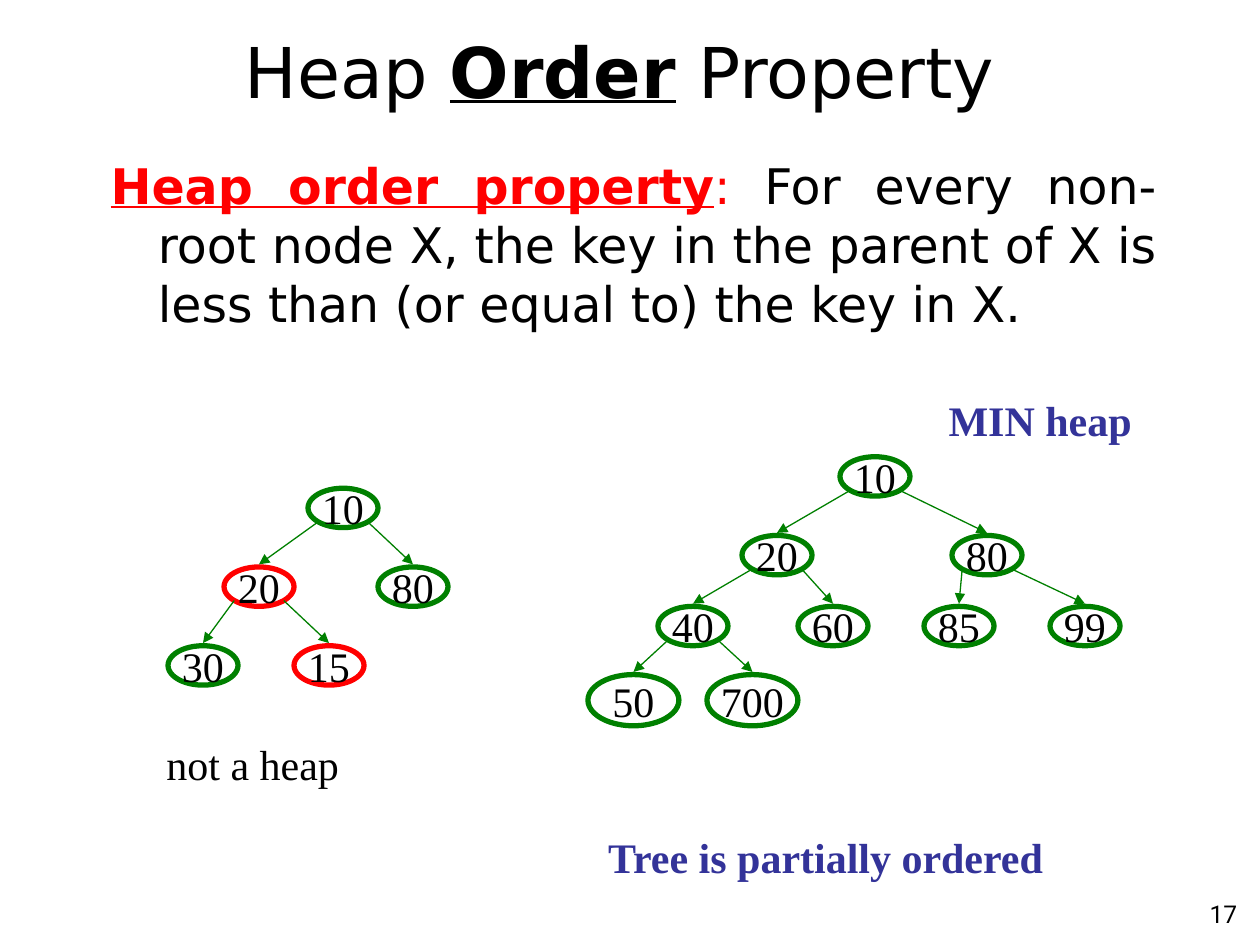
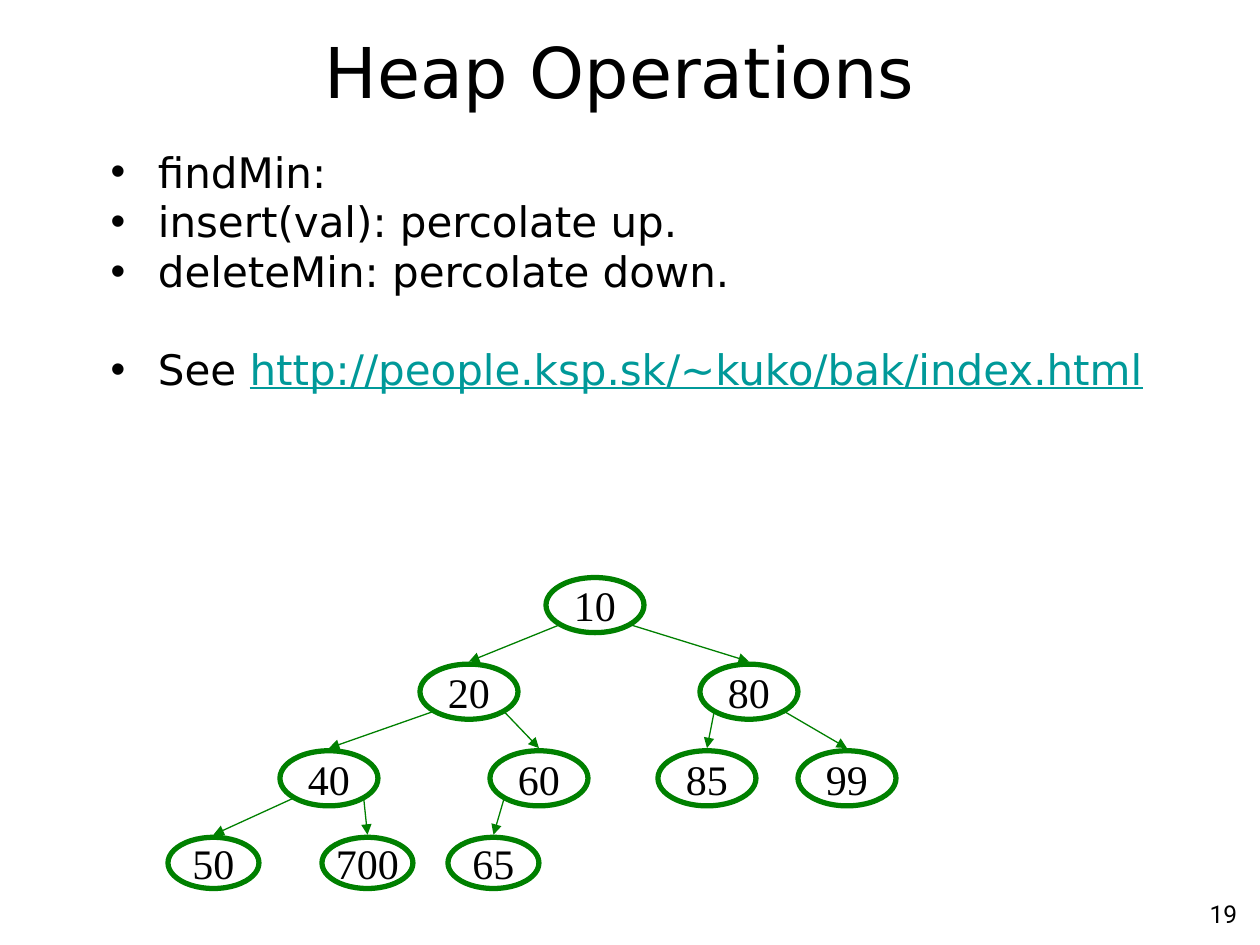
from pptx import Presentation
from pptx.dml.color import RGBColor
from pptx.enum.shapes import MSO_CONNECTOR, MSO_SHAPE
from pptx.enum.text import MSO_ANCHOR, MSO_AUTO_SIZE, PP_ALIGN
from pptx.oxml.ns import qn
from pptx.util import Pt
from lxml.etree import SubElement

BLACK = RGBColor(0, 0, 0)
RED = RGBColor(255, 0, 0)
GREEN = RGBColor(0, 128, 0)
NAVY = RGBColor(51, 51, 153)
TEAL = RGBColor(0, 153, 153)
SANS, SERIF, PAGE = "DejaVu Sans", "Times New Roman", "Roboto"
INDENT = Pt(27)
CORNER = 0.146

WRONG = [
    (0, 40, 22.5, [(10, 80, None)]),
    (45, 40, 22.5, [(20, 32, 10), (80, 120, 10)]),
    (90, 40, 22.5, [(30, 0, 20), (15, 72, 20)]),
]
RIGHT = [
    (0, 40, 22.5, [(10, 144, None)]),
    (45, 40, 22.5, [(20, 88, 10), (80, 208, 10)]),
    (85.5, 40, 22.5, [(40, 40, 20), (60, 120, 20), (85, 192, 80), (99, 264, 80)]),
    (124.5, 52, 29.25, [(50, 0, 40), (700, 68, 40)]),
]
LARGE = [
    (0, 56, 31.5, [(10, 216, None)]),
    (49.5, 56, 31.5, [(20, 144, 10), (80, 304, 10)]),
    (99, 56, 31.5, [(40, 64, 20), (60, 184, 20), (85, 280, 80), (99, 360, 80)]),
    (148.5, 52, 29.25, [(50, 0, 40), (700, 88, 40), (65, 160, 60)]),
]


def style(font, name, size, color=BLACK, bold=False):
    font.name, font.size, font.bold = name, Pt(size), bold
    font.color.rgb = color


def place(shape, left, top, width, height):
    shape.left, shape.top = Pt(left), Pt(top)
    shape.width, shape.height = Pt(width), Pt(height)


def write(para, runs, name, size):
    for text, color, bold, line in runs:
        run = para.add_run()
        run.text = text
        style(run.font, name, size, color, bold)
        run.font.underline = line


def label(slide, box, text, name=SERIF, size=24, color=BLACK, bold=False,
          align=PP_ALIGN.LEFT, wrap=False):
    shape = slide.shapes.add_textbox(*map(Pt, box))
    frame = shape.text_frame
    frame.word_wrap = wrap
    para = frame.paragraphs[0]
    para.text, para.alignment = text, align
    style(para.font, name, size, color, bold)


def start(deck, title, page):
    slide = deck.slides.add_slide(deck.slide_layouts[1])
    shape = slide.shapes.title
    place(shape, 48, 13.5, 612, 54)
    frame = shape.text_frame
    frame.auto_size = MSO_AUTO_SIZE.NONE
    frame.vertical_anchor = MSO_ANCHOR.MIDDLE
    para = frame.paragraphs[0]
    para.alignment = PP_ALIGN.CENTER
    write(para, title, SANS, 40)
    label(slide, (564, 510, 150, 26.5), page, PAGE, 14,
          align=PP_ALIGN.RIGHT, wrap=True)
    return slide


def body(slide, height, items, size, bullet=None, gaps=(0,), pitch=1.0):
    shape = slide.placeholders[1]
    place(shape, 56, 85.5, 612, height)
    frame = shape.text_frame
    frame.auto_size = MSO_AUTO_SIZE.NONE
    frame.vertical_anchor = MSO_ANCHOR.TOP
    for num, (runs, gap) in enumerate(zip(items, gaps)):
        para = frame.add_paragraph() if num else frame.paragraphs[0]
        props = para._p.get_or_add_pPr()
        props.set("marL", str(INDENT))
        props.set("indent", str(-INDENT))
        if bullet:
            SubElement(props, qn("a:buChar")).set("char", bullet)
        else:
            SubElement(props, qn("a:buNone"))
        para.alignment = PP_ALIGN.JUSTIFY
        para.line_spacing, para.space_before = pitch, Pt(gap)
        write(para, runs, SANS, size)


def node(shapes, box, key, color):
    oval = shapes.add_shape(MSO_SHAPE.OVAL, *map(Pt, box))
    oval.shadow.inherit = False
    oval.fill.background()
    oval.line.color.rgb, oval.line.width = color, Pt(3)
    frame = oval.text_frame
    frame.word_wrap = False
    frame.vertical_anchor = MSO_ANCHOR.MIDDLE
    para = frame.paragraphs[0]
    para.text, para.alignment = str(key), PP_ALIGN.CENTER
    style(para.font, SERIF, 24)
    return oval


def arrow(shapes, top, low):
    mid = low.left + low.width // 2
    side = CORNER if mid < top.left + top.width // 2 else 1 - CORNER
    line = shapes.add_connector(
        MSO_CONNECTOR.STRAIGHT,
        int(top.left + side * top.width),
        int(top.top + (1 - CORNER) * top.height),
        mid, low.top - Pt(1.5))
    line.line.color.rgb, line.line.width = GREEN, Pt(0.75)
    SubElement(line.line._get_or_add_ln(), qn("a:tailEnd")).set("type", "triangle")
    SubElement(line._element.spPr, qn("a:effectLst"))


def tree(slide, left, top, rows, bad=()):
    shapes = slide.shapes.add_group_shape().shapes
    nodes = {}
    for down, width, height, keys in rows:
        for key, across, root in keys:
            box = left + across, top + down, width, height
            nodes[key] = node(shapes, box, key, RED if key in bad else GREEN)
            if root:
                arrow(shapes, nodes[root], nodes[key])


def order(deck):
    slide = start(deck, [("Heap ", BLACK, False, False),
                         ("Order", BLACK, True, True),
                         (" Property", BLACK, False, False)], "17")
    body(slide, 135, [[
        ("Heap order property", RED, True, True),
        (":", RED, False, False),
        (" For every non-root node X, the key in the parent of X is "
         "less than (or equal to) the key in X.", BLACK, False, False)]], 28)
    tree(slide, 96, 279, WRONG, bad=(20, 15))
    tree(slide, 336, 261, RIGHT)
    label(slide, (88, 418.5, 168, 27), "not a heap", wrap=True)
    label(slide, (340.5, 471.5, 266, 36), "Tree is partially ordered",
          color=NAVY, bold=True)
    label(slide, (535, 222, 119.5, 36), "MIN heap", color=NAVY, bold=True)


def tasks(deck):
    slide = start(deck, [("Heap Operations", BLACK, False, False)], "19")
    items = [[(text, BLACK, False, False)] for text in (
        "findMin:", "insert(val): percolate up.",
        "deleteMin: percolate down.", "See ")]
    items[-1].append(("http://people.ksp.sk/~kuko/bak/index.html",
                      TEAL, False, True))
    body(slide, 202.5, items, 24, "•", (0, 5.4, 5.4, 33), 0.8)
    tree(slide, 96, 330, LARGE)


def main():
    deck = Presentation()
    deck.slide_width, deck.slide_height = Pt(720), Pt(540)
    order(deck)
    tasks(deck)
    deck.save("out.pptx")


if __name__ == "__main__":
    main()
